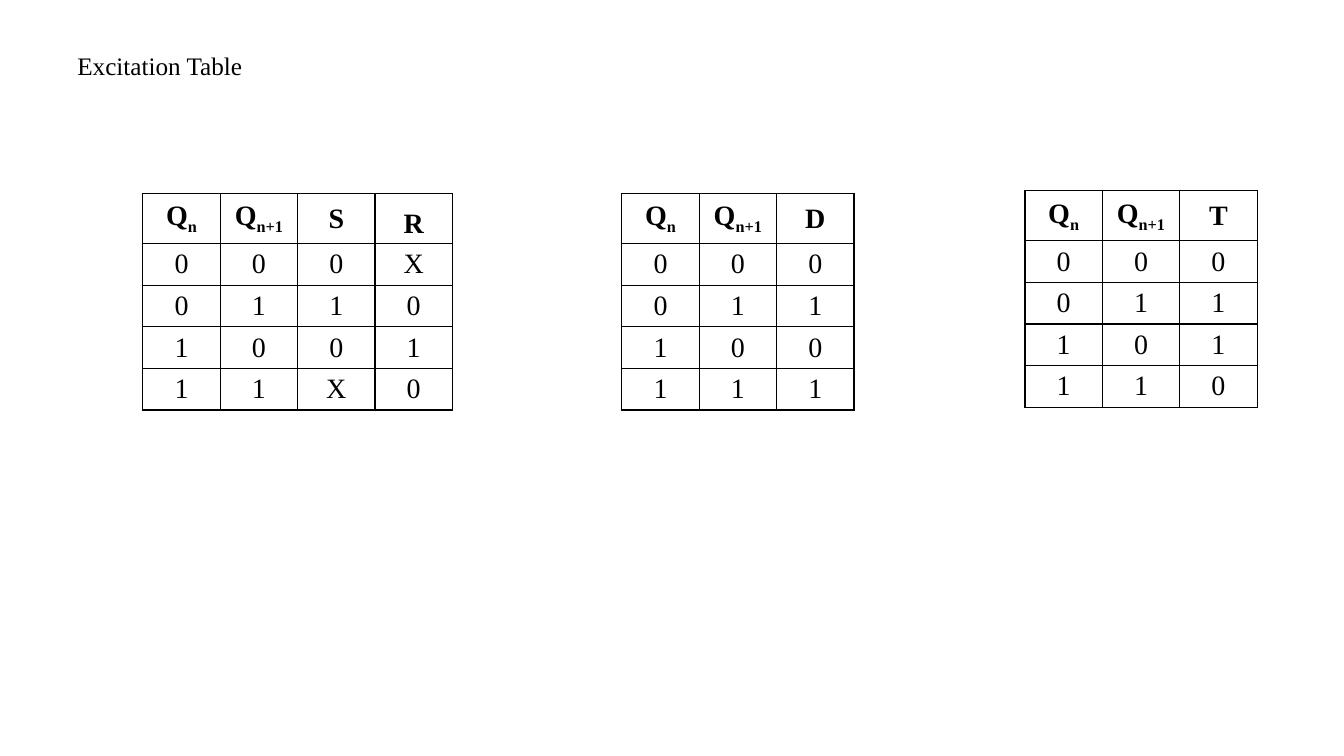
from lxml.etree import SubElement
from pptx import Presentation
from pptx.dml.color import RGBColor
from pptx.enum.text import MSO_ANCHOR as Anchor, PP_ALIGN as Align
from pptx.oxml.ns import qn
from pptx.util import Cm, Pt

BLACK = RGBColor(0x00, 0x00, 0x00)
WHITE = RGBColor(0xFF, 0xFF, 0xFF)
FONT = "Times New Roman"
COLUMN_WIDTH, HEADER_HEIGHT, ROW_HEIGHT = 1.95, 1.26, 1.04


def write(paragraph, text, size=20, bold=False, align=Align.CENTER, subscript=""):
    """Write text, with an optional subscript after it."""
    paragraph.alignment = align
    for part, baseline in ((text, None), (subscript, "-25000")):
        if not part:
            continue
        run = paragraph.add_run()
        run.text = part
        run.font.name = FONT
        run.font.size = Pt(size)
        run.font.bold = bold
        run.font.color.rgb = BLACK
        if baseline:
            run.font._element.set("baseline", baseline)


def add_borders(cell):
    """Draw a thin black line on all four sides of a cell."""
    properties = cell._tc.get_or_add_tcPr()
    for side in ("a:lnL", "a:lnR", "a:lnT", "a:lnB"):
        line = SubElement(properties, qn(side), w=str(Pt(1)))
        fill = SubElement(line, qn("a:solidFill"))
        SubElement(fill, qn("a:srgbClr"), val=str(BLACK))


presentation = Presentation()
presentation.slide_width = Cm(33.87)
presentation.slide_height = Cm(19.05)
slide = presentation.slides.add_slide(presentation.slide_layouts[6])

# Title
title = slide.shapes.add_textbox(Cm(1.7), Cm(1.27), Cm(30.48), Cm(0.86))
title.text_frame.word_wrap = True
title.text_frame.vertical_anchor = Anchor.MIDDLE
title_paragraph = title.text_frame.paragraphs[0]
title_paragraph.line_spacing = 0.9
write(title_paragraph, "Excitation Table", size=18, align=Align.LEFT)

# Flip-flop tables: left, top, input names, input values for each transition
transitions = ["00", "01", "10", "11"]
flip_flops = [
    (3.6, 4.88, "SR", ["0X", "10", "01", "X0"]),
    (15.67, 4.88, "D", ["0", "1", "0", "1"]),
    (25.83, 4.81, "T", ["0", "1", "1", "0"]),
]

for left, top, inputs, values in flip_flops:
    headers = [("Q", "n"), ("Q", "n+1")] + [(name, "") for name in inputs]
    body = [[(symbol, "") for symbol in transition + value]
            for transition, value in zip(transitions, values)]
    rows = [headers] + body
    heights = [HEADER_HEIGHT] + [ROW_HEIGHT] * len(body)

    frame = slide.shapes.add_table(
        len(rows), len(headers), Cm(left), Cm(top),
        Cm(COLUMN_WIDTH * len(headers)), Cm(sum(heights)))
    table = frame.table
    table.first_row = table.horz_banding = False
    for column in table.columns:
        column.width = Cm(COLUMN_WIDTH)

    for row_index, (row, height) in enumerate(zip(rows, heights)):
        table.rows[row_index].height = Cm(height)
        for column_index, (text, subscript) in enumerate(row):
            cell = table.cell(row_index, column_index)
            cell.margin_top = cell.margin_bottom = Cm(0.1)
            # The R heading sits at the bottom of its cell
            cell.vertical_anchor = Anchor.BOTTOM if text == "R" else Anchor.MIDDLE
            add_borders(cell)
            cell.fill.solid()
            cell.fill.fore_color.rgb = WHITE
            write(cell.text_frame.paragraphs[0], text,
                  bold=row_index == 0, subscript=subscript)

presentation.save("out.pptx")
